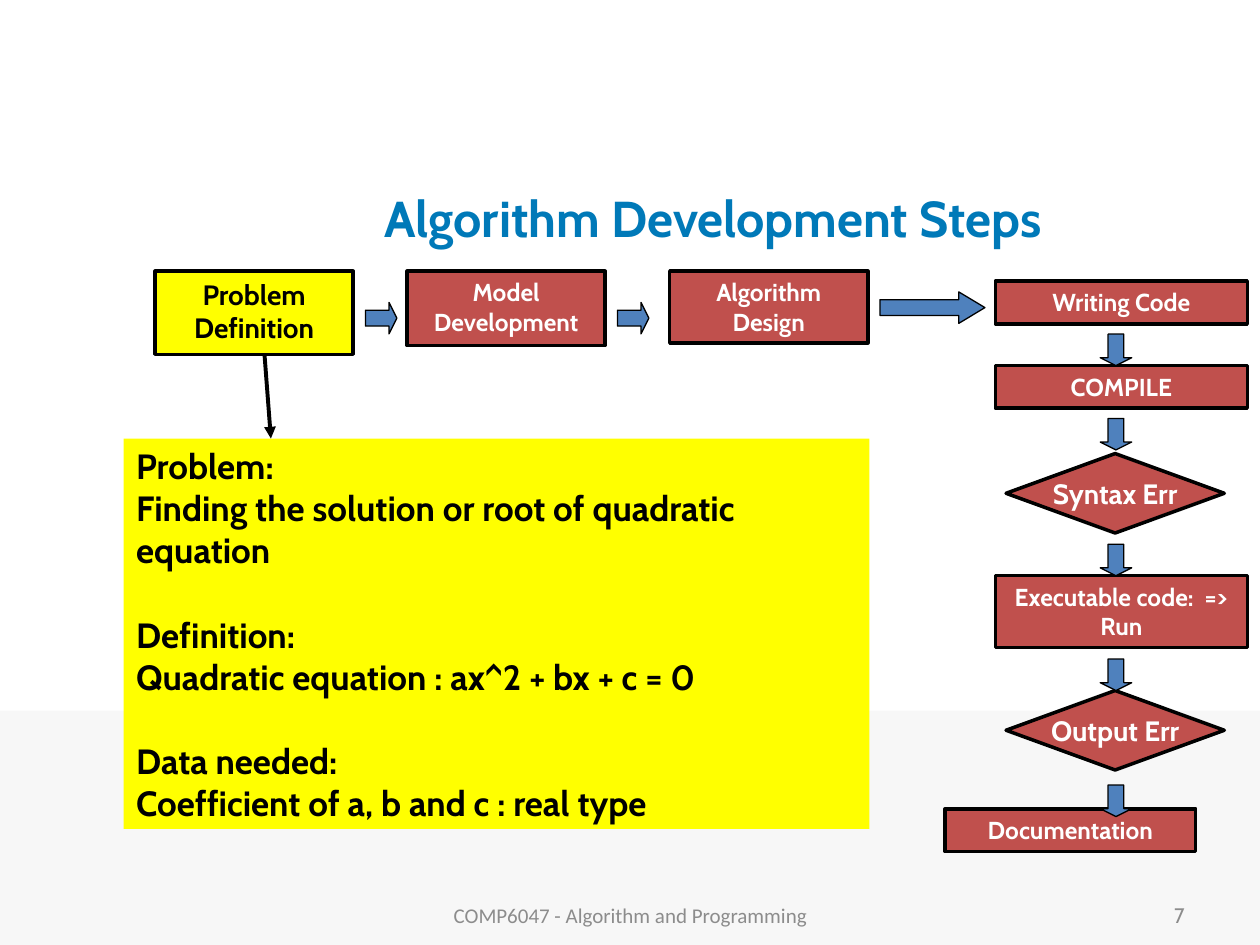
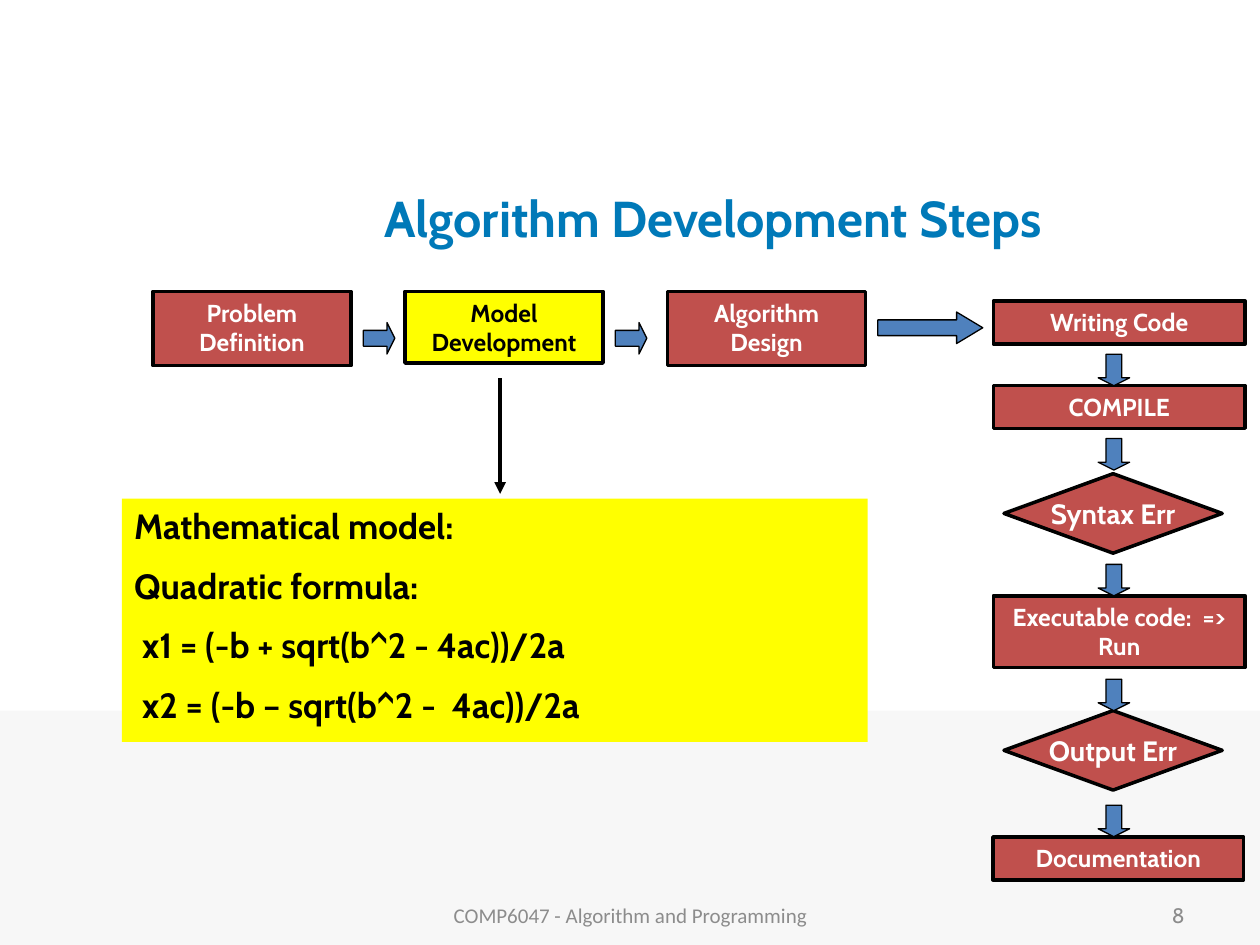
from dataclasses import dataclass
from typing import NamedTuple, Optional

from lxml.etree import SubElement
from pptx import Presentation
from pptx.dml.color import RGBColor as RGB
from pptx.enum.shapes import MSO_CONNECTOR as CONNECTOR, MSO_SHAPE as SHAPE
from pptx.enum.text import MSO_ANCHOR as ANCHOR, MSO_AUTO_SIZE as AUTO, PP_ALIGN as ALIGN
from pptx.oxml.ns import qn
from pptx.util import Pt


@dataclass(frozen=True)
class Theme:
    """Colours, fonts and type sizes, in points."""
    title: RGB = RGB(0x00, 0x79, 0xB8)
    band: RGB = RGB(0xF7, 0xF7, 0xF7)
    muted: RGB = RGB(0x8C, 0x8C, 0x8C)
    step: RGB = RGB(0xC0, 0x50, 0x4D)
    active: RGB = RGB(0xFF, 0xFF, 0x00)
    arrow: RGB = RGB(0x4F, 0x81, 0xBD)
    black: RGB = RGB(0, 0, 0)
    white: RGB = RGB(0xFF, 0xFF, 0xFF)
    font: str = "Cabin"
    footer_font: str = "Calibri"
    title_size: float = 28.8
    panel_size: float = 20
    large_size: float = 16
    step_size: float = 14
    footer_size: float = 12


class Box(NamedTuple):
    """A rectangle in points."""
    left: float
    top: float
    width: float
    height: float

    def shifted(self, dx: float, dy: float) -> "Box":
        """Return the box moved by an offset."""
        return self._replace(left=self.left + dx, top=self.top + dy)

    def lengths(self) -> list:
        """Return the four values as lengths."""
        return [Pt(v) for v in self]


class Step(NamedTuple):
    """A step of the right-hand column and the gap to the arrow below it."""
    text: str
    top: float
    height: float
    gap: float
    decision: bool = False


class Line(NamedTuple):
    """A panel line and the space above it."""
    text: str
    before: float = 0


@dataclass(frozen=True)
class FlowSlide:
    """What differs from one flow slide to the next."""
    number: int
    offset: tuple[float, float]
    active: int
    active_size: float
    stage_heights: tuple[float, float, float]
    documentation: Box
    panel: Box
    lines: list[Line]
    pointer: tuple[float, float, float, float]


T = Theme()
TITLE = "Algorithm Development Steps"
FOOTER = "COMP6047 - Algorithm and Programming"
STAGES = ["Problem Definition", "Model Development", "Algorithm Design"]
STAGE_LEFTS = [88.6, 232.6, 382.7]
STAGE_TOP, STAGE_WIDTH = 155, 113.2
COLUMN_LEFT, COLUMN_WIDTH = 568.8, 144
DECISION_WIDTH = 124.7
ARROW = 18
STEPS = [
    Step("Writing Code", 160.6, 24.5, 5.8),
    Step("COMPILE", 208.8, 24.5, 5.8),
    Step("Syntax Err", 259.2, 45.4, 6.4, True),
    Step("Executable code:  => Run", 329, 41, 6.6),
    Step("Output Err", 394.6, 45.4, 8.6, True),
]
SLIDES = [
    FlowSlide(
        7, (0, 0), 0, T.large_size, (47.5, 42.5, 41),
        Box(540, 462.2, 143.3, 24.5), Box(70.7, 250.7, 426.2, 223),
        [Line("Problem:"),
         Line("Finding the solution or root of quadratic equation"),
         Line("Definition:", 24),
         Line("Quadratic equation : ax^2 + bx + c = 0"),
         Line("Data needed:", 24),
         Line("Coefficient of a, b and c : real type")],
        (151.2, 203, 154.8, 250.6)),
    FlowSlide(
        8, (-1.2, 11.5), 1, T.step_size, (42.5, 41, 42.5),
        Box(567.4, 478.3, 143.3, 24.5), Box(69.6, 285, 426.2, 139),
        [Line("Mathematical model:"),
         Line("Quadratic formula:", 10),
         Line(" x1 = (-b + sqrt(b^2 - 4ac))/2a", 10),
         Line(" x2 = (-b – sqrt(b^2 -  4ac))/2a", 10)],
        (285.8, 216, 285.8, 282.2)),
]


def add_run(p, text: str, size: float, color: RGB, bold: bool = True,
            font: str = T.font) -> None:
    """Add one formatted run to a paragraph."""
    r = p.add_run()
    r.text = text
    r.font.size, r.font.bold, r.font.name = Pt(size), bold, font
    r.font.color.rgb = color


def add_block(s, kind: SHAPE, box: Box, fill: RGB, line: Optional[float] = None):
    """Draw a filled preset shape, outlined in black if a width is given."""
    sp = s.shapes.add_shape(kind, *box.lengths())
    sp.shadow.inherit = False
    sp.fill.solid()
    sp.fill.fore_color.rgb = fill
    if line is None:
        sp.line.fill.background()
    else:
        sp.line.color.rgb = T.black
        sp.line.width = Pt(line)
    return sp


def add_step(s, box: Box, text: str, size: float = T.step_size,
             active: bool = False, decision: bool = False) -> None:
    """Draw a step of the flow as a box or a decision diamond."""
    kind = SHAPE.FLOWCHART_DECISION if decision else SHAPE.RECTANGLE
    sp = add_block(s, kind, box, T.active if active else T.step, 2)
    tf = sp.text_frame
    tf.word_wrap = not decision
    tf.vertical_anchor = ANCHOR.MIDDLE if decision else ANCHOR.TOP
    p = tf.paragraphs[0]
    p.alignment = ALIGN.CENTER
    add_run(p, text, size, T.black if active else T.white)


def add_arrow(s, kind: SHAPE, box: Box, head: float = 0.25) -> None:
    """Draw a block arrow with the given head length."""
    sp = add_block(s, kind, box, T.arrow, 0.75)
    sp.adjustments[0], sp.adjustments[1] = 0.5, head


def add_panel(s, box: Box, lines: list[Line]) -> None:
    """Draw the yellow panel that explains the active stage."""
    tf = add_block(s, SHAPE.RECTANGLE, box, T.active).text_frame
    tf.word_wrap = True
    tf.vertical_anchor = ANCHOR.TOP
    for i, line in enumerate(lines):
        p = tf.add_paragraph() if i else tf.paragraphs[0]
        p.alignment = ALIGN.LEFT
        p.space_before = Pt(line.before)
        add_run(p, line.text, T.panel_size, T.black)


def add_pointer(s, ends: tuple[float, float, float, float]) -> None:
    """Draw the thin arrow from the active stage to its panel."""
    c = s.shapes.add_connector(CONNECTOR.STRAIGHT, *[Pt(v) for v in ends])
    c.line.color.rgb = T.black
    c.line.width = Pt(2.25)
    SubElement(c.line._get_or_add_ln(), qn("a:tailEnd"), type="triangle")
    SubElement(c.element.spPr, qn("a:effectLst"))


def add_title(s) -> None:
    """Place and format the title placeholder."""
    sp = s.shapes.title
    sp.left, sp.top, sp.width, sp.height = Box(138.2, 107, 538.6, 62.6).lengths()
    tf = sp.text_frame
    tf.auto_size, tf.vertical_anchor = AUTO.NONE, ANCHOR.TOP
    tf.margin_top = 0
    p = tf.paragraphs[0]
    p.alignment = ALIGN.CENTER
    add_run(p, TITLE, T.title_size, T.title)


def add_footer(s, box: Box, text: str, align: ALIGN, font: str) -> None:
    """Add one grey text at the foot of the slide."""
    tf = s.shapes.add_textbox(*box.lengths()).text_frame
    tf.word_wrap = True
    tf.vertical_anchor = ANCHOR.MIDDLE
    p = tf.paragraphs[0]
    p.alignment = align
    add_run(p, text, T.footer_size, T.muted, False, font)


def add_flow(s, flow: FlowSlide) -> None:
    """Draw the stages, the column of steps and the arrows between them."""
    for i, (text, left, height) in enumerate(zip(STAGES, STAGE_LEFTS, flow.stage_heights)):
        box = Box(left, STAGE_TOP, STAGE_WIDTH, height).shifted(*flow.offset)
        active = i == flow.active
        add_step(s, box, text, flow.active_size if active else T.step_size, active)

    for step in STEPS:
        width = DECISION_WIDTH if step.decision else COLUMN_WIDTH
        left = 574.9 if step.decision else COLUMN_LEFT
        size = T.large_size if step.decision else T.step_size
        box = Box(left, step.top, width, step.height).shifted(*flow.offset)
        add_step(s, box, step.text, size, decision=step.decision)
    add_step(s, flow.documentation, "Documentation")

    for left in STAGE_LEFTS[:2]:
        box = Box(left + STAGE_WIDTH + 7, 172.8, ARROW, ARROW)
        add_arrow(s, SHAPE.RIGHT_ARROW, box.shifted(*flow.offset))
    for step in STEPS:
        box = Box(628.7, step.top + step.height + step.gap, ARROW, ARROW)
        add_arrow(s, SHAPE.DOWN_ARROW, box.shifted(*flow.offset))
    long_arrow = Box(502.8, 166.8, 60, ARROW).shifted(*flow.offset)
    add_arrow(s, SHAPE.RIGHT_ARROW, long_arrow, 0.83)


def build_slide(prs, layout, flow: FlowSlide) -> None:
    """Build one slide of the algorithm flow."""
    s = prs.slides.add_slide(layout)
    add_title(s)
    add_footer(s, Box(516.2, 508.3, 167.8, 28.8), str(flow.number), ALIGN.RIGHT, T.font)
    add_panel(s, flow.panel, flow.lines)
    add_pointer(s, flow.pointer)
    add_flow(s, flow)
    add_footer(s, Box(246.2, 508.3, 228.2, 28.8), FOOTER, ALIGN.CENTER, T.footer_font)
    if flow is SLIDES[0]:
        band = add_block(s, SHAPE.RECTANGLE, Box(0, 406.1, 720, 133.9), T.band)
        layout.shapes.element.insert(2, band.element)  # shared by every slide


def main() -> None:
    """Build and save the presentation."""
    prs = Presentation()
    prs.slide_width, prs.slide_height = Pt(720), Pt(540)
    layout = prs.slide_layouts.get_by_name("Title Only")
    for flow in SLIDES:
        build_slide(prs, layout, flow)
    prs.save("out.pptx")


main()
